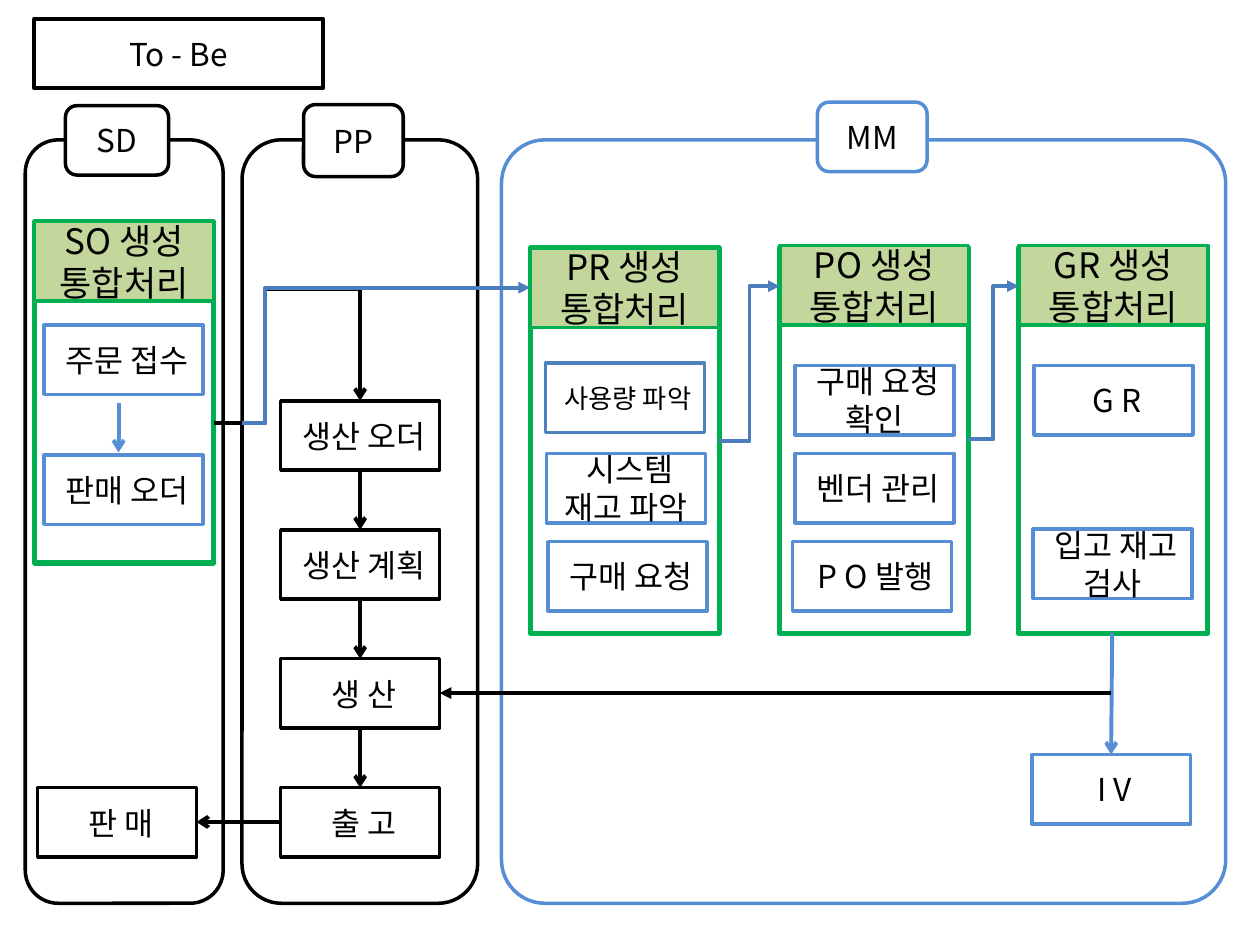
import pptx
import pptx.util
import pptx.dml.color
import pptx.enum.shapes
import pptx.enum.text
import pptx.oxml
import pptx.oxml.ns

Cm = pptx.util.Cm
Pt = pptx.util.Pt
qn = pptx.oxml.ns.qn
Kind = pptx.enum.shapes.MSO_SHAPE
Link = pptx.enum.shapes.MSO_CONNECTOR
FONT = "Noto Sans CJK KR"
SPACE = pptx.oxml.ns.nsdecls("a")
HUES = {"black": "000000", "white": "FFFFFF", "blue": "558ED5", "steel": "4F81BD",
        "link": "4B7EBC", "green": "00B050", "lime": "C3D69B"}
STEP = (3.2, 1.4)

deck = pptx.Presentation()
deck.slide_width, deck.slide_height = Cm(25.4), Cm(19.05)
slide = deck.slides.add_slide(deck.slide_layouts[5])


def hue(name):
    return pptx.dml.color.RGBColor.from_string(HUES[name])


def paint(shape, line, width=2, fill="white"):
    if fill:
        shape.fill.solid()
        shape.fill.fore_color.rgb = hue(fill)
    else:
        shape.fill.background()
    shape.line.color.rgb = hue(line)
    shape.line.width = Pt(width)


def write(shape, text, size=18):
    frame = shape.text_frame
    frame.text = text
    frame.word_wrap = True
    frame.vertical_anchor = pptx.enum.text.MSO_ANCHOR.MIDDLE
    for para in frame.paragraphs:
        para.alignment = pptx.enum.text.PP_ALIGN.CENTER
        for run in para.runs:
            run.font.size = Pt(size)
            run.font.name = FONT
            run.font.color.rgb = hue("black")
            face = pptx.oxml.parse_xml(f'<a:ea {SPACE} typeface="{FONT}"/>')
            run.font._element.find(qn("a:latin")).addnext(face)


def box(kind, left, top, wide, high, line, width=2, fill="white"):
    shape = slide.shapes.add_shape(kind, Cm(left), Cm(top), Cm(wide), Cm(high))
    shape.shadow.inherit = False
    paint(shape, line, width, fill)
    return shape


def step(left, top, text, line="blue", size=18):
    write(box(Kind.FLOWCHART_PROCESS, left, top, *STEP, line), text, size)


def title(left, top, wide, high, text):
    shape = slide.shapes.title
    shape.left, shape.top = Cm(left), Cm(top)
    shape.width, shape.height = Cm(wide), Cm(high)
    geom = pptx.oxml.parse_xml(
        f'<a:prstGeom {SPACE} prst="roundRect"><a:avLst/></a:prstGeom>')
    shape._element.spPr.find(qn("a:xfrm")).addnext(geom)
    paint(shape, "black")
    write(shape, text)


def lane(left, wide, name, tab, line, steps, bend=None, fill="white"):
    top, high = 2.82, 15.39
    panel = box(Kind.ROUNDED_RECTANGLE, left, top, wide, high, line, fill=fill)
    if bend:
        panel.adjustments[0] = bend
    dx, dy, tw, th = tab
    write(box(Kind.ROUNDED_RECTANGLE, left + dx, top + dy, tw, th, line), name)
    for dx, dy, text in steps:
        step(left + dx, top + dy, text, line)


def group(left, top, wide, high, lift, name, steps):
    box(Kind.RECTANGLE, left, top, wide, high, "green", 3, None)
    head = box(Kind.RECTANGLE, left, top - lift, wide, 1.6, "green", 2, "lime")
    write(head, f"{name} 생성\n통합처리", 20)
    for dx, dy, text, *style in steps:
        step(left + dx, top + dy, text, *style)


def arrow(start, end, line="black", head="arrow", bends=()):
    kind = Link.ELBOW if bends else Link.STRAIGHT
    wire = slide.shapes.add_connector(kind, *map(Cm, start + end))
    wire.line.color.rgb = hue(line)
    wire.line.width = Pt(2.25)
    props = wire._element.spPr
    edge = props.find(qn("a:ln"))
    edge.append(edge.makeelement(qn("a:tailEnd"), {"type": head}))
    props.append(props.makeelement(qn("a:effectLst"), {}))
    if bends:
        geom = props.find(qn("a:prstGeom"))
        geom.set("prst", f"bentConnector{len(bends) + 2}")
        holds = geom.get_or_add_avLst()
        for spot, bend in enumerate(bends, 1):
            holds.append(holds.makeelement(
                qn("a:gd"), {"name": f"adj{spot}", "fmla": f"val {round(bend * 100000)}"}))


def flows():
    arrow((2.39, 8.13), (2.39, 9.12), "blue")
    arrow((4.32, 8.53), (7.26, 8.08), bends=(0.35, 6.02))
    for row in range(3):
        top = 9.48 + row * 2.6
        arrow((7.26, top), (7.26, top + 1.2))
    arrow((5.66, 16.57), (3.96, 16.57))
    arrow((4.88, 8.53), (10.69, 5.8), "link", "triangle", (0.08,))
    arrow((14.5, 8.89), (15.72, 5.77), "link", "triangle", (0.5,))
    arrow((19.51, 8.86), (20.54, 5.77), "link", "triangle", (0.5,))
    arrow((22.42, 12.76), (22.4, 15.21), "blue")
    arrow((22.4, 13.97), (8.86, 13.97), head="triangle")


title(0.69, 0.38, 5.82, 1.4, "To - Be")
lane(0.51, 3.99, "SD", (0.81, -0.69, 2.08, 1.4), "black", [(0.25, 13.06, " 판 매")])
works = [" 생산 오더", " 생산 계획", " 생 산", " 출 고"]
lane(4.88, 4.75, "PP", (1.24, -0.71, 2.01, 1.45), "black",
     [(0.78, 5.26 + row * 2.6, text) for row, text in enumerate(works)])
lane(10.11, 14.6, "MM", (6.37, -0.76, 2.21, 1.4), "blue",
     [(10.69, 12.39, " I V")], 0.06, None)
group(0.7, 4.47, 3.61, 6.88, 0, "SO", [(0.19, 2.08, " 주문 접수"), (0.19, 4.7, " 판매 오더")])
group(10.69, 5, 3.81, 7.77, 0, "PR", [
    (0.31, 2.32, " 사용량 파악", "steel", 15),
    (0.33, 4.14, " 시스템\n재고 파악"), (0.36, 5.92, " 구매 요청")])
group(15.72, 5, 3.81, 7.77, 0.05, "PO", [
    (0.31, 2.37, " 구매 요청 확인"), (0.31, 4.14, " 벤더 관리"), (0.26, 5.92, " P O 발행")])
group(20.54, 5, 3.81, 7.77, 0.05, "GR", [
    (0.31, 2.37, " G R"), (0.29, 5.67, " 입고 재고 검사")])
flows()
deck.save("out.pptx")
